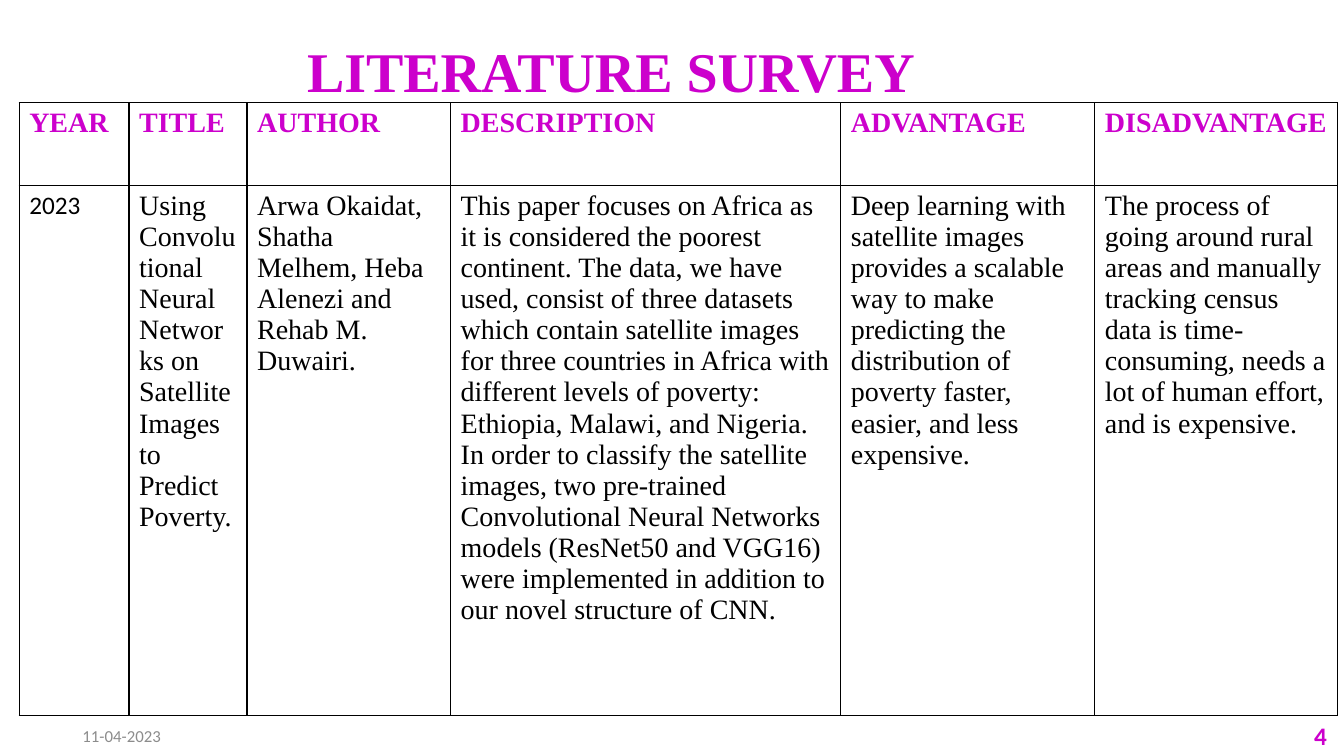
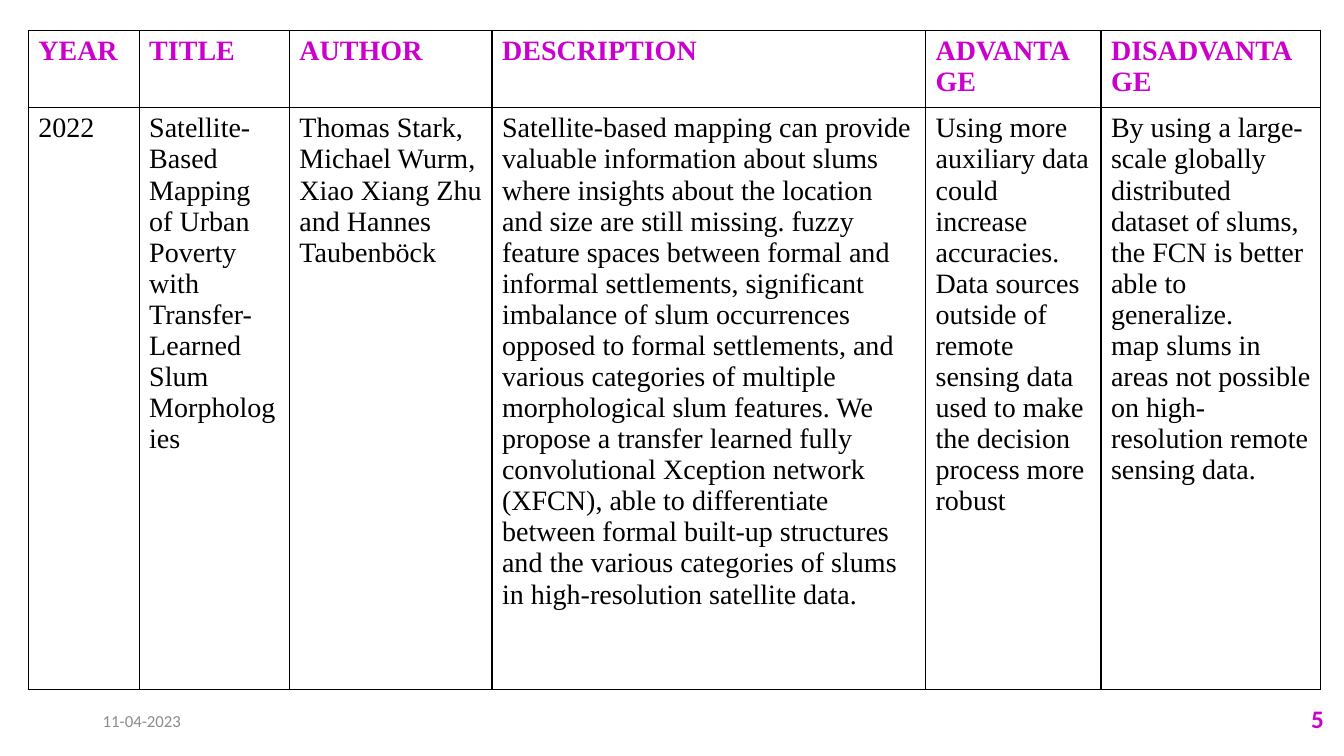
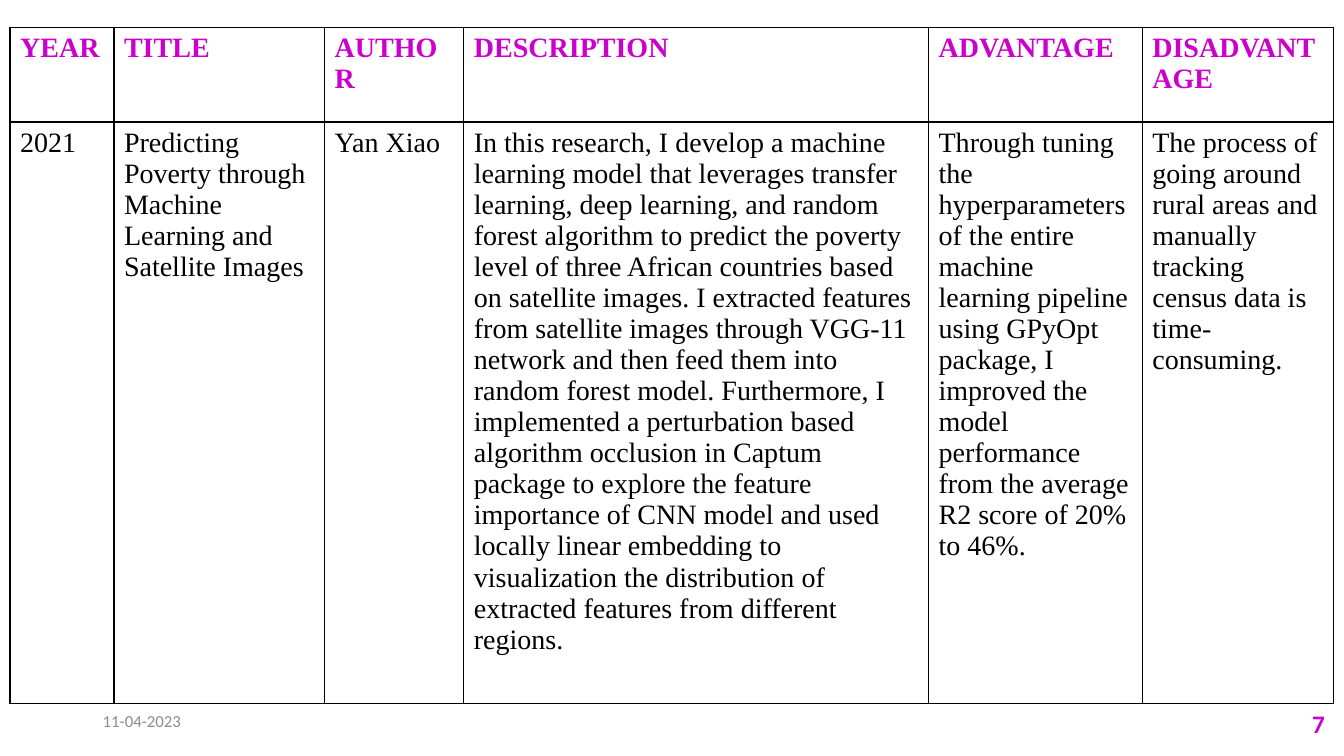
from dataclasses import dataclass

from lxml import etree
from pptx import Presentation
from pptx.dml.color import RGBColor
from pptx.enum import text
from pptx.oxml import ns
from pptx.util import Pt

EMU_PER_PX = 9144  # 100 px to the inch
SLIDE_WIDTH, SLIDE_HEIGHT = 1333, 750
TITLE_ONLY, BLANK = 5, 6


@dataclass(frozen=True)
class TextStyle:
    font: str
    size: int
    color: str
    bold: bool = False


@dataclass(frozen=True)
class Theme:
    paper: str = "FFFFFF"
    rule: str = "000000"
    rule_width: int = 1
    title: TextStyle = TextStyle("Times New Roman", 40, "CC00CC", True)
    header: TextStyle = TextStyle("Times New Roman", 20, "CC00CC", True)
    body: TextStyle = TextStyle("Times New Roman", 20, "000000")
    plain: TextStyle = TextStyle("Calibri", 18, "000000")
    number: TextStyle = TextStyle("Calibri", 18, "CC00CC", True)
    date: TextStyle = TextStyle("Calibri", 12, "8C8C8C")


def px(length):
    return length * EMU_PER_PX


class Deck:
    def __init__(self, theme):
        self.theme = theme
        self.presentation = Presentation()
        self.presentation.slide_width = px(SLIDE_WIDTH)
        self.presentation.slide_height = px(SLIDE_HEIGHT)
        self.slide = None

    def new_slide(self, layout):
        layouts = self.presentation.slide_layouts
        self.slide = self.presentation.slides.add_slide(layouts[layout])
        fill = self.slide.background.fill
        fill.solid()
        fill.fore_color.rgb = RGBColor.from_string(self.theme.paper)

    def set_text(self, frame, content, style, align=text.PP_ALIGN.LEFT):
        frame.text = content
        frame.word_wrap = True
        for paragraph in frame.paragraphs:
            paragraph.alignment = align
            font = paragraph.font
            font.name, font.size, font.bold = style.font, Pt(style.size), style.bold
            font.color.rgb = RGBColor.from_string(style.color)

    def title(self, content, left, top, width, height):
        shape = self.slide.shapes.title
        shape.left, shape.top, shape.width, shape.height = map(px, (left, top, width, height))
        shape.text_frame.vertical_anchor = text.MSO_ANCHOR.TOP
        self.set_text(shape.text_frame, content, self.theme.title, text.PP_ALIGN.CENTER)

    def footer(self, content, left, top, style, align=text.PP_ALIGN.LEFT):
        shape = self.slide.shapes.add_textbox(px(left), px(top), px(300), px(40))
        shape.text_frame.vertical_anchor = text.MSO_ANCHOR.MIDDLE
        self.set_text(shape.text_frame, content, style, align)

    def number(self, content, left, top):
        self.footer(content, left, top, self.theme.number, text.PP_ALIGN.RIGHT)

    def date(self, content, left, top):
        self.footer(content, left, top, self.theme.date)

    def cell(self, cell, content, style):
        self.set_text(cell.text_frame, content, style)
        # Borders come before the fill in the cell properties
        properties = cell._tc.get_or_add_tcPr()
        for side in ("lnL", "lnR", "lnT", "lnB"):
            line = etree.SubElement(properties, ns.qn(f"a:{side}"), w=str(Pt(self.theme.rule_width)))
            fill = etree.SubElement(line, ns.qn("a:solidFill"))
            etree.SubElement(fill, ns.qn("a:srgbClr"), val=self.theme.rule)
        cell.fill.solid()
        cell.fill.fore_color.rgb = RGBColor.from_string(self.theme.paper)

    def survey_table(self, left, top, widths, heights, entry, year_style):
        frame = self.slide.shapes.add_table(
            2, len(widths), px(left), px(top), px(sum(widths)), px(sum(heights)))
        table = frame.table
        table.first_row = table.horz_banding = False
        for row, height in zip(table.rows, heights):
            row.height = px(height)
        for index, (width, heading, content) in enumerate(zip(widths, HEADINGS, entry)):
            table.columns[index].width = px(width)
            self.cell(table.cell(0, index), heading, self.theme.header)
            style = year_style if index == 0 else self.theme.body
            self.cell(table.cell(1, index), content, style)


HEADINGS = ("YEAR", "TITLE", "AUTHOR", "DESCRIPTION", "ADVANTAGE", "DISADVANTAGE")
DATE = "11-04-2023"
THEME = Theme()

# One survey entry per slide
SURVEYS = (
    dict(
        title="LITERATURE SURVEY",
        number=("4", 1026, 710),
        date=(72, 710),
        table=dict(
            left=19, top=102, widths=(109, 117, 202, 387, 252, 241), heights=(82, 526),
            year_style=THEME.plain,
            entry=(
                "2023",
                "Using Convolutional Neural Networks on Satellite Images to Predict Poverty.",
                "Arwa Okaidat, Shatha Melhem, Heba Alenezi and Rehab M. Duwairi.",
                "This paper focuses on Africa as it is considered the poorest continent. "
                "The data, we have used, consist of three datasets which contain satellite "
                "images for three countries in Africa with different levels of poverty: "
                "Ethiopia, Malawi, and Nigeria. In order to classify the satellite images, "
                "two pre-trained Convolutional Neural Networks models (ResNet50 and VGG16) "
                "were implemented in addition to our novel structure of CNN.",
                "Deep learning with satellite images provides a scalable way to make "
                "predicting the distribution of poverty faster, easier, and less expensive.",
                "The process of going around rural areas and manually tracking census data "
                "is time-consuming, needs a lot of human effort, and is expensive.",
            ),
        ),
    ),
    dict(
        title=None,
        number=("5", 1023, 693),
        date=(92, 695),
        table=dict(
            left=28, top=30, widths=(110, 149, 201, 430, 174, 218), heights=(77, 577),
            year_style=THEME.body,
            entry=(
                "2022",
                "Satellite-Based Mapping of Urban Poverty with Transfer-Learned Slum "
                "Morphologies",
                "Thomas Stark, Michael Wurm, Xiao Xiang Zhu and Hannes Taubenböck",
                "Satellite-based mapping can provide valuable information about slums where "
                "insights about the location and size are still missing. fuzzy feature "
                "spaces between formal and informal settlements, significant imbalance of "
                "slum occurrences opposed to formal settlements, and various categories of "
                "multiple morphological slum features. We propose a transfer learned fully "
                "convolutional Xception network (XFCN), able to differentiate between formal "
                "built-up structures and the various categories of slums in high-resolution "
                "satellite data.",
                "Using more auxiliary data could increase accuracies.\n"
                "Data sources outside of remote sensing data used to make the decision "
                "process more robust",
                "By using a large-scale globally distributed dataset of slums, the FCN is "
                "better able to generalize.\n"
                "map slums in areas not possible on high-resolution remote sensing data.",
            ),
        ),
    ),
    dict(
        title=None,
        number=("7", 1024, 698),
        date=(92, 695),
        table=dict(
            left=10, top=27, widths=(103, 209, 138, 461, 212, 190), heights=(94, 577),
            year_style=THEME.body,
            entry=(
                "2021",
                "Predicting Poverty through Machine Learning and Satellite Images",
                "Yan Xiao",
                "In this research, I develop a machine learning model that leverages "
                "transfer learning, deep learning, and random forest algorithm to predict "
                "the poverty level of three African countries based on satellite images. I "
                "extracted features from satellite images through VGG-11 network and then "
                "feed them into random forest model. Furthermore, I implemented a "
                "perturbation based algorithm occlusion in Captum package to explore the "
                "feature importance of CNN model and used locally linear embedding to "
                "visualization the distribution of extracted features from different "
                "regions.",
                "Through tuning the hyperparameters of the entire machine learning pipeline "
                "using GPyOpt package, I improved the model performance from the average R2 "
                "score of 20% to 46%.",
                "The process of going around rural areas and manually tracking census data "
                "is time-consuming.",
            ),
        ),
    ),
)


def main():
    deck = Deck(THEME)
    for survey in SURVEYS:
        deck.new_slide(TITLE_ONLY if survey["title"] else BLANK)
        deck.number(*survey["number"])
        if survey["title"]:
            deck.title(survey["title"], 257, 31, 698, 77)
        deck.survey_table(**survey["table"])
        deck.date(DATE, *survey["date"])
    deck.presentation.save("out.pptx")


if __name__ == "__main__":
    main()
